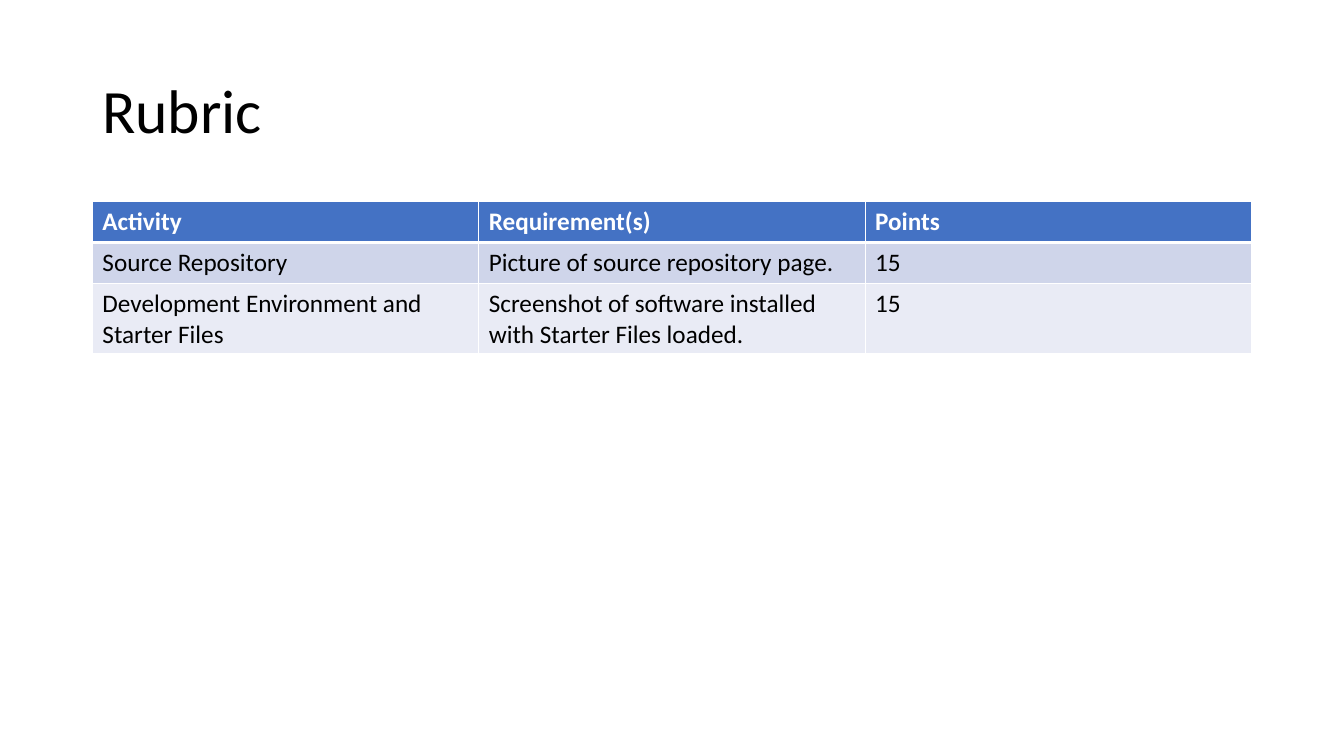
from lxml import etree
from pptx import Presentation
from pptx.dml.color import RGBColor
from pptx.enum.text import MSO_ANCHOR
from pptx.oxml.ns import qn
from pptx.util import Pt

MIDDLE = MSO_ANCHOR.MIDDLE
FONT = "Calibri"
WHITE = RGBColor(0xFF, 0xFF, 0xFF)
BLACK = RGBColor(0x00, 0x00, 0x00)
BLUE = RGBColor(0x44, 0x72, 0xC4)
BANDS = [RGBColor(0xCF, 0xD5, 0xEA), RGBColor(0xE9, 0xEB, 0xF5)]

LEFT, WIDTH = Pt(66), Pt(828)
ROW_HEIGHT = Pt(29.2)

RUBRIC = [
    ["Activity", "Requirement(s)", "Points"],
    ["Source Repository", "Picture of source repository page.", "15"],
    ["Development Environment and Starter Files",
     "Screenshot of software installed with Starter Files loaded.", "15"],
]


def add_run(p, text, size, color, bold=False):
    r = p.add_run()
    r.text = text
    r.font.name = FONT
    r.font.size = Pt(size)
    r.font.bold = bold
    r.font.color.rgb = color


def add_title(s, text):
    tf = s.shapes.add_textbox(LEFT, Pt(28.8), WIDTH, Pt(104.4)).text_frame
    tf.word_wrap = True
    tf.vertical_anchor = MIDDLE
    p = tf.paragraphs[0]
    p.line_spacing = 0.9
    add_run(p, text, 44, BLACK)


def set_borders(cell, widths):
    """Draw white borders; widths maps the sides L, R, T, B, in that order, to lengths."""
    tc_pr = cell._tc.get_or_add_tcPr()
    for i, (side, width) in enumerate(widths.items()):
        ln = etree.Element(qn(f"a:ln{side}"), w=str(width))
        fill = etree.SubElement(ln, qn("a:solidFill"))
        etree.SubElement(fill, qn("a:srgbClr"), val=str(WHITE))
        tc_pr.insert(i, ln)


def add_rubric_table(s, rows):
    table = s.shapes.add_table(len(rows), len(rows[0]), LEFT, Pt(144),
                               WIDTH, ROW_HEIGHT * len(rows)).table
    for i, texts in enumerate(rows):
        header = i == 0
        for j, text in enumerate(texts):
            cell = table.cell(i, j)
            cell.fill.solid()
            cell.fill.fore_color.rgb = BLUE if header else BANDS[(i - 1) % 2]
            add_run(cell.text_frame.paragraphs[0], text, 18,
                    WHITE if header else BLACK, bold=header)
            set_borders(cell, {"L": Pt(1), "R": Pt(1),
                               "T": Pt(3 if i == 1 else 1),
                               "B": Pt(3 if header else 1)})


def main():
    prs = Presentation()
    prs.slide_width, prs.slide_height = Pt(960), Pt(540)
    s = prs.slides.add_slide(prs.slide_layouts[6])
    add_title(s, "Rubric")
    add_rubric_table(s, RUBRIC)
    prs.save("out.pptx")


if __name__ == "__main__":
    main()
